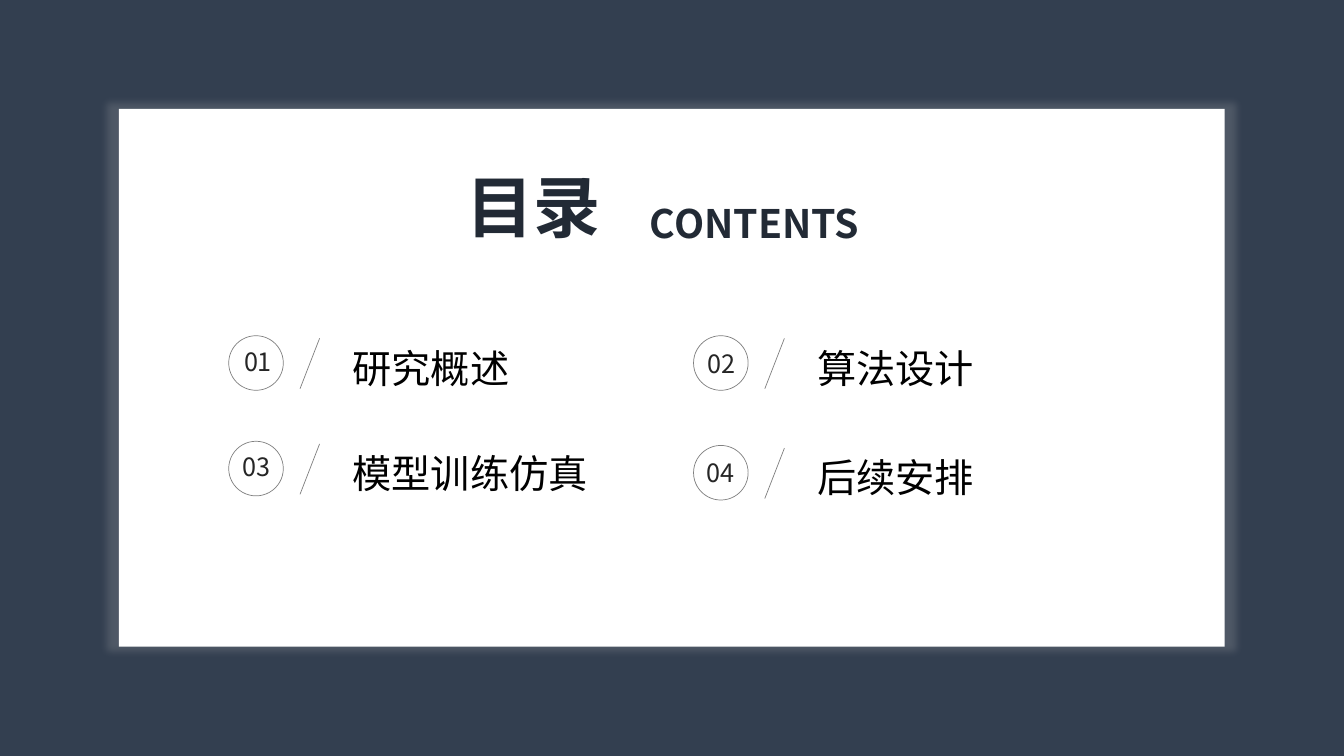
from dataclasses import dataclass

from lxml import etree
from pptx import Presentation
from pptx.dml.color import RGBColor
from pptx.enum.shapes import MSO_CONNECTOR, MSO_SHAPE
from pptx.enum.text import MSO_ANCHOR, PP_ALIGN
from pptx.oxml.ns import qn
from pptx.util import Pt

RECTANGLE = MSO_SHAPE.RECTANGLE
OVAL = MSO_SHAPE.OVAL
STRAIGHT = MSO_CONNECTOR.STRAIGHT
MIDDLE = MSO_ANCHOR.MIDDLE
CENTER = PP_ALIGN.CENTER
JUSTIFY = PP_ALIGN.JUSTIFY


@dataclass(frozen=True)
class Theme:
    """Colours, font and type sizes of the slide."""

    backdrop: str = "333F50"
    card: str = "FFFFFF"
    glow: str = "BFBFBF"
    heading: str = "222A35"
    topic: str = "000000"
    number: str = "262626"
    rule: str = "808080"
    font: str = "Noto Sans CJK SC"
    title_size: int = 48
    topic_size: int = 28
    number_size: int = 18
    rule_width: float = 0.5


THEME = Theme()

LEFT_COLUMN, RIGHT_COLUMN = 163.4, 495.4
BADGE_SIZE = 39
TOPICS = [
    ("01", "研究概述", LEFT_COLUMN, 239.8, -4.3, 4.3),
    ("03", "模型训练仿真", LEFT_COLUMN, 315.2, -5.5, 3.9),
    ("02", "算法设计", RIGHT_COLUMN, 239.8, -5, 5.7),
    ("04", "后续安排", RIGHT_COLUMN, 318.2, -5.7, 5.2),
]


def points(*lengths):
    """Convert numbers to point lengths."""
    return [Pt(length) for length in lengths]


def add_panel(slide, box, color):
    """Add a borderless filled rectangle."""
    panel = slide.shapes.add_shape(RECTANGLE, *points(*box))
    panel.shadow.inherit = False
    panel.fill.solid()
    panel.fill.fore_color.rgb = RGBColor.from_string(color)
    panel.line.fill.background()
    return panel


def add_glow(panel):
    """Give a panel a soft, slightly enlarged shadow."""
    effects = panel.element.spPr.find(qn("a:effectLst"))
    shadow = etree.SubElement(
        effects, qn("a:outerShdw"), blurRad=str(Pt(5)), sx="102000",
        sy="102000", algn="ctr", rotWithShape="0")
    color = etree.SubElement(shadow, qn("a:srgbClr"), val=THEME.glow)
    etree.SubElement(color, qn("a:alpha"), val="20000")


def add_label(shapes, text, box, size, color, align=JUSTIFY, bold=False):
    """Add one line of text centred vertically in its box."""
    label = shapes.add_textbox(*points(*box))
    frame = label.text_frame
    frame.word_wrap = True
    frame.vertical_anchor = MIDDLE
    frame.margin_top = frame.margin_bottom = 0
    frame.text = text
    paragraph = frame.paragraphs[0]
    paragraph.alignment = align
    font = paragraph.runs[0].font
    font.name = THEME.font
    font.size = Pt(size)
    font.bold = bold
    font.color.rgb = RGBColor.from_string(color)
    etree.SubElement(paragraph.runs[0].font._element, qn("a:ea"),
                     typeface=THEME.font)


def style_rule(line):
    """Apply the thin grey stroke."""
    line.color.rgb = RGBColor.from_string(THEME.rule)
    line.width = Pt(THEME.rule_width)


def add_badge(slide, number, left, top, number_dx, number_dy):
    """Add a grouped circle and number."""
    badge = slide.shapes.add_group_shape()
    circle = badge.shapes.add_shape(
        OVAL, *points(left, top, BADGE_SIZE, BADGE_SIZE))
    circle.shadow.inherit = False
    circle.fill.background()
    style_rule(circle.line)
    add_label(badge.shapes, number, (left + number_dx, top + number_dy, 50.4, 28.8),
              THEME.number_size, THEME.number, CENTER)


def add_slash(slide, left, top):
    """Add the slanted stroke between badge and topic."""
    slash = slide.shapes.add_connector(
        STRAIGHT, *points(left + 64.9, top + 1.9, left + 50.9, top + 37.9))
    style_rule(slash.line)
    etree.SubElement(slash.element.spPr, qn("a:effectLst"))


def add_topic(slide, number, topic, left, top, number_dx, number_dy):
    """Add one entry of the contents list."""
    add_label(slide.shapes, topic, (left + 81.4, top + 2.2, 220.3, 41),
              THEME.topic_size, THEME.topic)
    add_badge(slide, number, left, top, number_dx, number_dy)
    add_slash(slide, left, top)


def main():
    """Build and save the contents slide."""
    deck = Presentation()
    deck.slide_width, deck.slide_height = points(960, 540)
    slide = deck.slides.add_slide(deck.slide_layouts[6])
    add_panel(slide, (0, 0, 960, 540), THEME.backdrop)
    card = add_panel(slide, (85, 77.8, 789.8, 384), THEME.card)
    add_glow(card)
    add_label(slide.shapes, "CONTENTS", (457.2, 139, 182.9, 41),
              THEME.topic_size, THEME.heading, bold=True)
    for topic in TOPICS:
        add_topic(slide, *topic)
    add_label(slide.shapes, "目录", (326.2, 112, 131, 70),
              THEME.title_size, THEME.heading, bold=True)
    deck.save("out.pptx")


if __name__ == "__main__":
    main()
